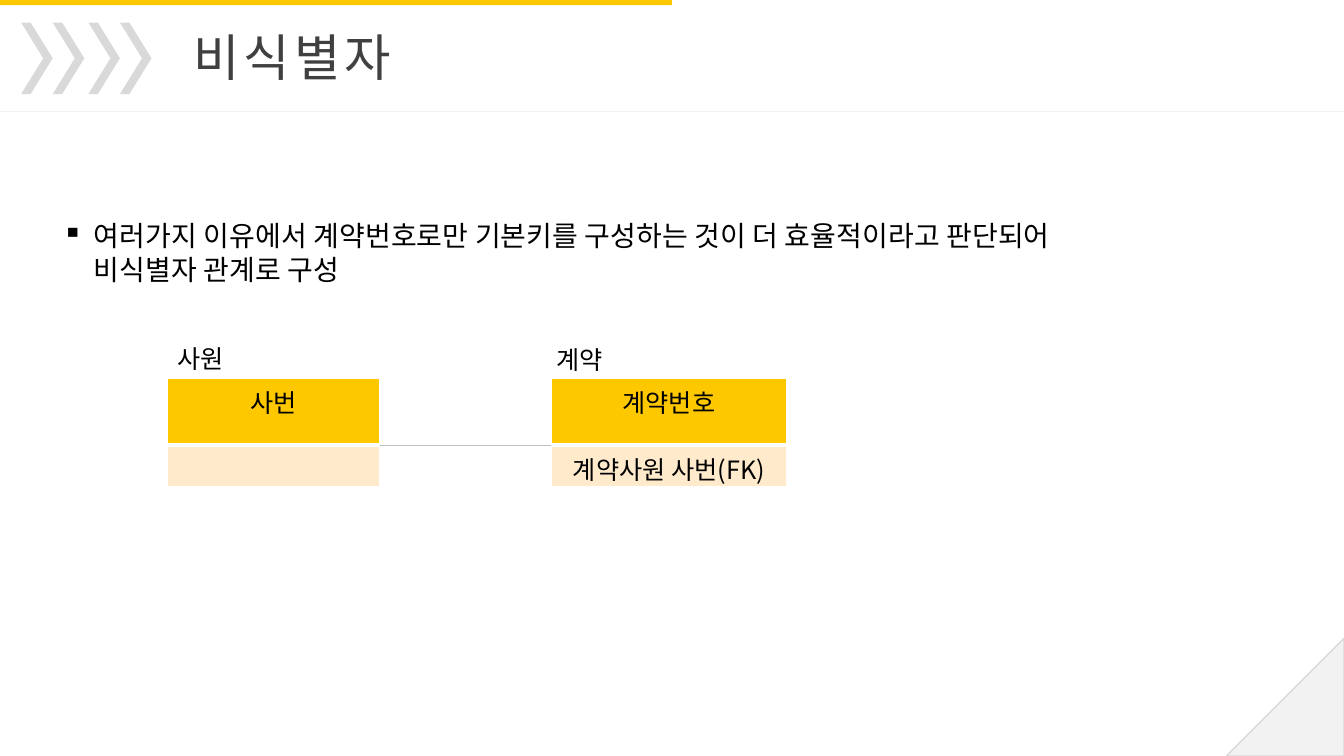
from dataclasses import dataclass

from lxml import etree
from pptx import Presentation
from pptx import util as u
from pptx.dml.color import RGBColor
from pptx.enum import shapes, text
from pptx.oxml import ns

YELLOW = RGBColor(0xFE, 0xC8, 0x00)
CREAM = RGBColor(0xFF, 0xEB, 0xCC)
WHITE = RGBColor(0xFF, 0xFF, 0xFF)
BLACK = RGBColor(0x00, 0x00, 0x00)
DARK = RGBColor(0x40, 0x40, 0x40)
LINK = RGBColor(0xBF, 0xBF, 0xBF)
SILVER = RGBColor(0xD9, 0xD9, 0xD9)
PALE = RGBColor(0xF2, 0xF2, 0xF2)
KOREAN = "Noto Sans CJK KR"

# Grid: 40 columns by 22.5 rows of square cells
WIDTH, HEIGHT = u.Inches(13.333), u.Inches(7.5)
COLS, ROWS = 40, 22.5


@dataclass
class Label:
    words: str
    x: float
    y: float
    w: float
    h: float
    size: int = 18
    font: str = KOREAN
    color: RGBColor = BLACK


@dataclass
class Entity:
    label: Label
    x: float
    w: float
    key: str
    attribute: str


def col(n: float) -> int:
    return round(WIDTH * n / COLS)


def row(n: float) -> int:
    return round(HEIGHT * n / ROWS)


def format_run(r, size: int, font: str, color: RGBColor) -> None:
    r.font.size, r.font.name, r.font.bold = u.Pt(size), font, False
    r.font.color.rgb = color
    etree.SubElement(r._r.get_or_add_rPr(), ns.qn("a:ea"), typeface=font)


def add_block(kind, x: float, y: float, w: float, h: float, fill: RGBColor):
    sp = s.shapes.add_shape(kind, col(x), row(y), col(w), row(h))
    sp.shadow.inherit = False
    sp.fill.solid()
    sp.fill.fore_color.rgb = fill
    sp.line.fill.background()
    return sp


def add_rule(x1: float, x2: float, y: float, color: RGBColor) -> None:
    line = s.shapes.add_connector(shapes.MSO_CONNECTOR.STRAIGHT,
                                  col(x1), row(y), col(x2), row(y))
    line.line.color.rgb, line.line.width = color, u.Pt(0.5)
    etree.SubElement(line._element.spPr, ns.qn("a:effectLst"))


def add_label(label: Label):
    sp = s.shapes.add_textbox(col(label.x), row(label.y), col(label.w), row(label.h))
    tf = sp.text_frame
    tf.word_wrap = True
    tf.auto_size = text.MSO_AUTO_SIZE.SHAPE_TO_FIT_TEXT
    p = tf.paragraphs[0]
    p.text = label.words
    format_run(p.runs[0], label.size, label.font, label.color)
    return p


def add_borders(cell, bottom: float) -> None:
    tcPr = cell._tc.get_or_add_tcPr()
    for side, width in (("L", 1), ("R", 1), ("T", 1), ("B", bottom)):
        ln = etree.SubElement(tcPr, ns.qn(f"a:ln{side}"), w=str(u.Pt(width)))
        fill = etree.SubElement(ln, ns.qn("a:solidFill"))
        etree.SubElement(fill, ns.qn("a:srgbClr"), val=str(WHITE))


def add_entity(entity: Entity) -> None:
    heights = (2, 1.22)
    table = s.shapes.add_table(2, 1, col(entity.x), row(TABLE_TOP),
                               col(entity.w), row(sum(heights))).table
    table.first_row = table.horz_banding = False
    cells = ((entity.key, YELLOW, 3), (entity.attribute, CREAM, 1))
    for i, (words, fill, bottom) in enumerate(cells):
        table.rows[i].height = row(heights[i])
        cell = table.cell(i, 0)
        add_borders(cell, bottom)
        cell.fill.solid()
        cell.fill.fore_color.rgb = fill
        if words:
            p = cell.text_frame.paragraphs[0]
            p.text = words
            p.alignment = text.PP_ALIGN.CENTER
            format_run(p.runs[0], 18, KOREAN, BLACK)
    add_label(entity.label)


prs = Presentation()
prs.slide_width, prs.slide_height = WIDTH, HEIGHT
s = prs.slides.add_slide(prs.slide_layouts[6])

# Corner fold, top bar and header rule
corner = add_block(shapes.MSO_SHAPE.RIGHT_TRIANGLE, COLS - 3.5, ROWS - 3.5, 3.5, 3.5, PALE)
corner._element.spPr.xfrm.set("flipH", "1")
corner.line.color.rgb, corner.line.width = SILVER, u.Pt(1)
add_block(shapes.MSO_SHAPE.RECTANGLE, 0, 0, COLS / 2, 0.15, YELLOW)
add_rule(0, COLS, 3.3, PALE)

# Two pairs of chevrons
for pair in range(2):
    for i in range(2):
        chevron = add_block(shapes.MSO_SHAPE.CHEVRON, 0.63 + 2 * pair + 0.94 * i,
                            0.67, 0.94, 2.13, SILVER)
        chevron.adjustments[0] = 0.7

# Entities and the relation between them
TABLE_TOP = 11.25
employee = Entity(Label("사원", 4.98, 10.08, 3.03, 1.2), 4.98, 6.33, "사번", "")
contract = Entity(Label("계약", 16.26, 10.11, 8.76, 1.22), 16.41, 7, "계약번호", "계약사원 사번(FK)")
for entity in (employee, contract):
    add_entity(entity)
add_rule(employee.x + employee.w, contract.x, TABLE_TOP + 2, LINK)

# Explanation with a square bullet
p = add_label(Label("여러가지 이유에서 계약번호로만 기본키를 구성하는 것이 더 효율적이라고 판단되어 "
                    "비식별자 관계로 구성", 1.56, 6.36, 32.6, 2.31, 20, "Calibri"))
pPr = p._p.get_or_add_pPr()
pPr.set("marL", str(col(0.94)))
pPr.set("indent", str(-col(0.94)))
etree.SubElement(pPr, ns.qn("a:buChar"), char="▪")

# Title
p = add_label(Label("비식별자", 5.46, 0.63, 7.35, 2.13, 36, "League Spartan", DARK))
p.alignment = text.PP_ALIGN.JUSTIFY
p.runs[0]._r.get_or_add_rPr().set("spc", "300")

prs.save("out.pptx")
